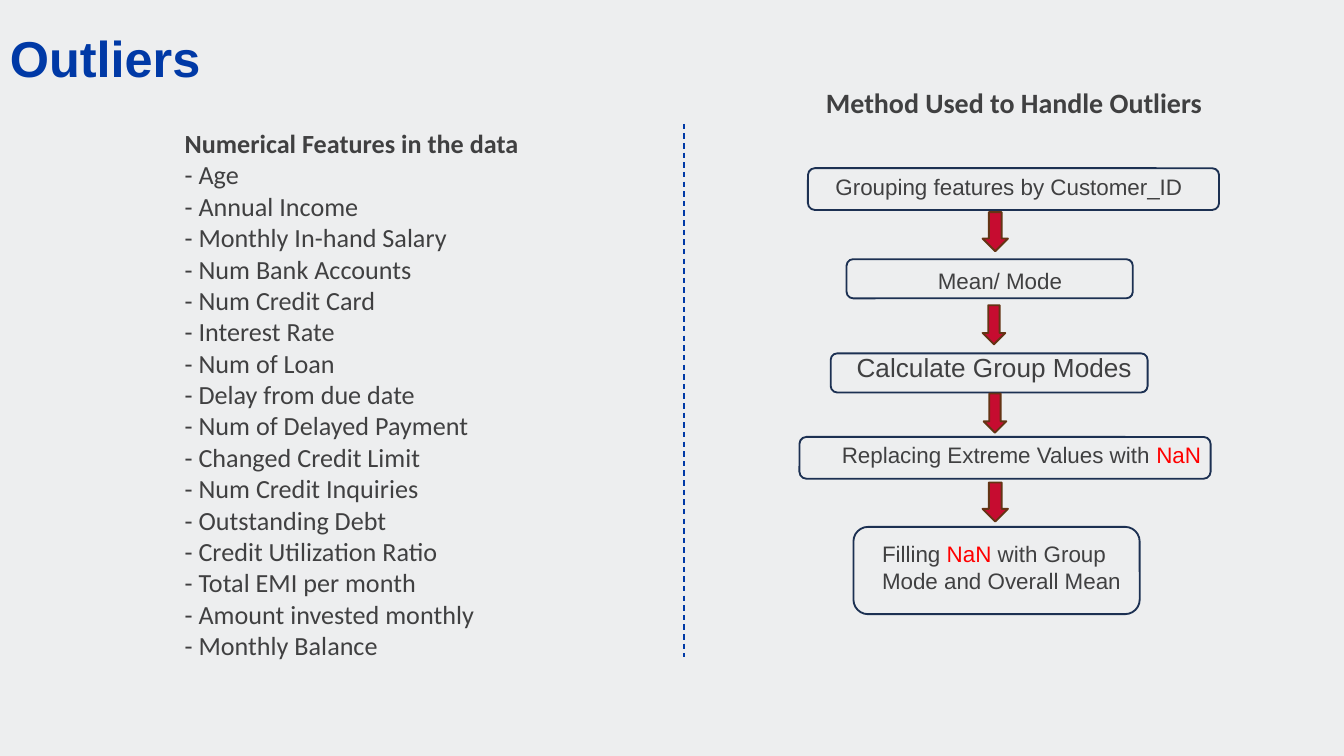
from dataclasses import dataclass

from lxml import etree
from pptx import Presentation
from pptx.dml.color import RGBColor
from pptx.enum import dml, shapes, text
from pptx.oxml import ns
from pptx.util import Cm, Pt


@dataclass(frozen=True)
class Theme:
    background: str = "EDEEEF"
    blue: str = "0039A6"
    ink: str = "404041"
    navy: str = "1C3052"
    arrow: str = "C60C30"
    arrow_edge: str = "643414"
    alert: str = "FF0000"
    heading_font: str = "Arial"
    list_font: str = "Calibri"
    title_size: float = 27
    method_size: float = 15
    list_size: float = 14
    step_size: float = 12


THEME = Theme()

TITLE = "Outliers"
LIST_HEADING = "Numerical Features in the data"
FEATURES = [
    "Age", "Annual Income", "Monthly In-hand Salary", "Num Bank Accounts",
    "Num Credit Card", "Interest Rate", "Num of Loan", "Delay from due date",
    "Num of Delayed Payment", "Changed Credit Limit", "Num Credit Inquiries",
    "Outstanding Debt", "Credit Utilization Ratio", "Total EMI per month",
    "Amount invested monthly", "Monthly Balance",
]
METHOD_HEADING = "Method Used to Handle Outliers"

STEPS = [
    dict(parts=["Grouping features by Customer_ID"],
         frame=(15.27, 3.18, 7.77, 0.79), label=(15.6, 3.18, 8.2, 0.71)),
    dict(parts=["Mean/ Mode"], align=text.PP_ALIGN.CENTER,
         frame=(16, 4.9, 5.41, 0.74), label=(16.13, 4.95, 5.54, 0.71)),
    dict(parts=["Calculate Group Modes"], size=THEME.list_size,
         frame=(15.7, 6.68, 5.99, 0.74), label=(16, 6.55, 6.6, 0.79)),
    dict(parts=["Replacing Extreme Values with ", "NaN"],
         frame=(15.11, 8.26, 7.77, 0.79), label=(15.72, 8.23, 8.2, 0.71)),
    dict(parts=["Filling ", "NaN ", "with Group Mode and Overall Mean"],
         frame=(16.13, 9.96, 5.41, 1.65), label=(16.48, 10.11, 5.03, 1.22)),
]
ARROWS = [(18.57, 4.01, 0.48), (18.57, 5.77, 0.43),
          (18.59, 7.44, 0.43), (18.57, 9.12, 0.48)]
ARROW_HEIGHT = 0.74
DIVIDER = (12.93, 2.34, 12.93, 12.42)


def lengths(values):
    return [Cm(value) for value in values]


def color(value):
    return RGBColor.from_string(value)


def add_text(page, place, paragraphs, font, size, ink=THEME.ink, bold=False, grow=True):
    box = page.shapes.add_textbox(*lengths(place))
    frame = box.text_frame
    frame.word_wrap = True
    frame.auto_size = text.MSO_AUTO_SIZE.SHAPE_TO_FIT_TEXT if grow else text.MSO_AUTO_SIZE.NONE
    frame.margin_left = frame.margin_right = Cm(0.19)
    frame.margin_top = frame.margin_bottom = Cm(0.1)
    for index, parts in enumerate(paragraphs):
        para = frame.add_paragraph() if index else frame.paragraphs[0]
        for part in parts:
            span = para.add_run()
            span.text = part
            span.font.name = font
            span.font.size = Pt(size)
            span.font.bold = bold
            span.font.color.rgb = color(THEME.alert if part.strip() == "NaN" else ink)
    return frame


def add_outline(page, kind, place, edge, fill=None):
    shape = page.shapes.add_shape(kind, *lengths(place))
    shape.shadow.inherit = False
    if fill:
        shape.fill.solid()
        shape.fill.fore_color.rgb = color(fill)
    else:
        shape.fill.background()
    shape.line.color.rgb = color(edge)
    shape.line.width = Pt(1)


def add_divider(page):
    line = page.shapes.add_connector(shapes.MSO_CONNECTOR.STRAIGHT, *lengths(DIVIDER))
    line.line.color.rgb = color(THEME.blue)
    line.line.width = Pt(0.75)
    line.line.dash_style = dml.MSO_LINE.DASH
    etree.SubElement(line._element.spPr, ns.qn("a:effectLst"))


def main():
    deck = Presentation()
    deck.slide_width, deck.slide_height = lengths((25.4, 14.29))
    page = deck.slides.add_slide(deck.slide_layouts[6])
    page.background.fill.solid()
    page.background.fill.fore_color.rgb = color(THEME.background)

    title = add_text(page, (0, -0.23, 12.98, 2.77), [[TITLE]], THEME.heading_font,
                     THEME.title_size, THEME.blue, bold=True, grow=False)
    title.vertical_anchor = text.MSO_ANCHOR.MIDDLE
    title.paragraphs[0].line_spacing = 0.9

    rows = [[LIST_HEADING]] + [[f"- {feature}"] for feature in FEATURES]
    features = add_text(page, (3.3, 2.31, 8.94, 10.59), rows,
                        THEME.list_font, THEME.list_size)
    features.paragraphs[0].runs[0].font.bold = True

    add_divider(page)
    add_text(page, (15.42, 1.52, 7.75, 0.84), [[METHOD_HEADING]],
             THEME.list_font, THEME.method_size, bold=True)

    for step in STEPS:
        add_outline(page, shapes.MSO_SHAPE.ROUNDED_RECTANGLE, step["frame"], THEME.navy)
        label = add_text(page, step["label"], [step["parts"]], THEME.heading_font,
                         step.get("size", THEME.step_size))
        label.paragraphs[0].alignment = step.get("align")

    for left, top, width in ARROWS:
        add_outline(page, shapes.MSO_SHAPE.DOWN_ARROW, (left, top, width, ARROW_HEIGHT),
                    THEME.arrow_edge, THEME.arrow)

    deck.save("out.pptx")


if __name__ == "__main__":
    main()
